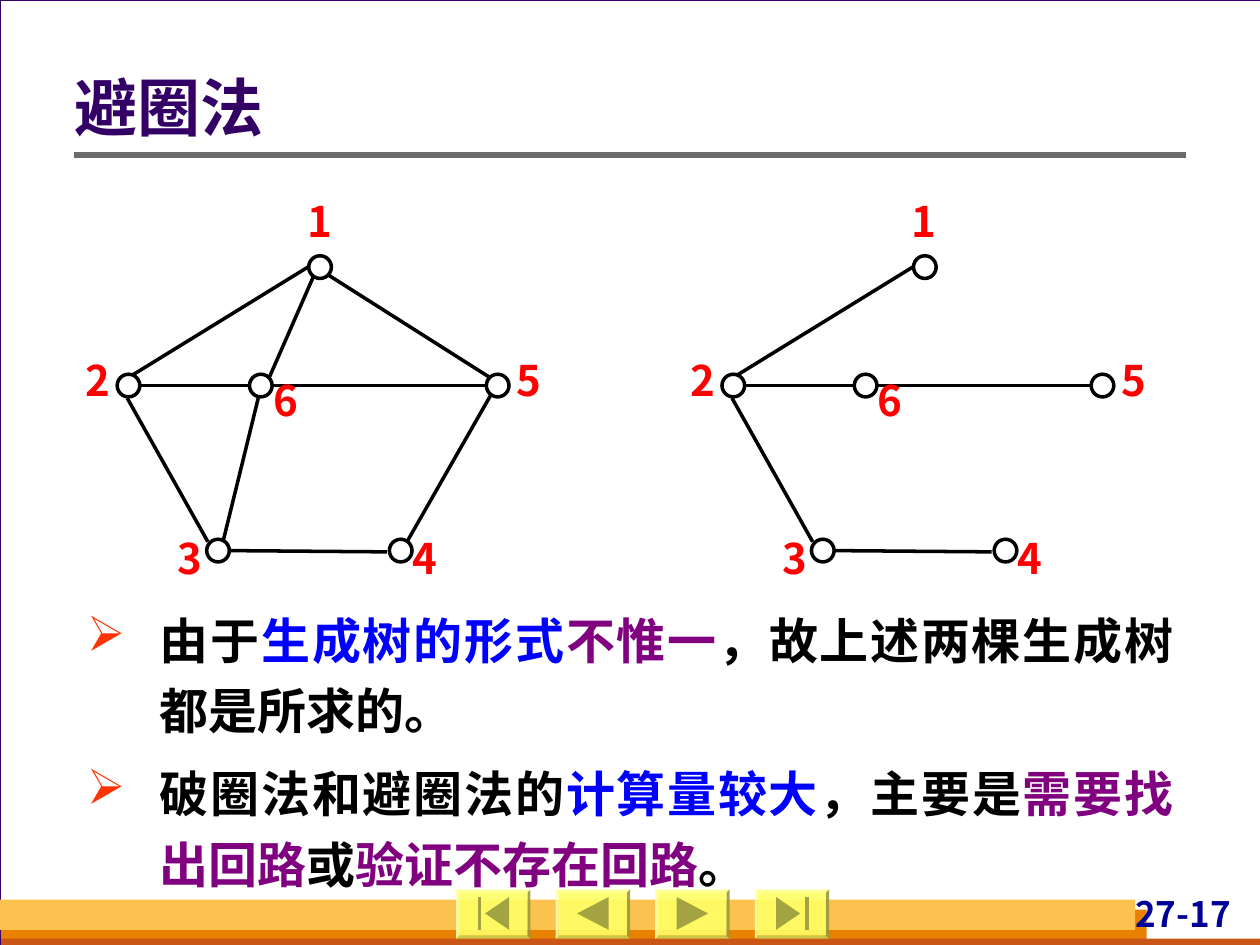
"""Build the slide on the loop-avoiding method for spanning trees."""
from typing import NamedTuple

from lxml.etree import SubElement
from pptx import Presentation
from pptx.dml.color import RGBColor
from pptx.enum.shapes import MSO_CONNECTOR, MSO_SHAPE as Preset
from pptx.enum.text import MSO_ANCHOR as Anchor, PP_ALIGN as Align
from pptx.oxml.ns import qn
from pptx.util import Inches, Pt

FONT = "Noto Sans CJK SC"
COLORS = {
    "backdrop": "D8DADA", "white": "FFFFFF", "black": "000000",
    "title": "330066", "rule": "6B6B6B", "number": "000099",
    "orange": "E88000", "rust": "C95616", "gold": "FCC24F",
    "button": "FFFF66", "icon": "A3A341", "label": "FF0000",
    "bullet": "FF3300", "blue": "0000FF", "purple": "800080",
}


class Box(NamedTuple):
    left: float
    top: float
    width: float
    height: float


class Node(NamedTuple):
    name: str
    left: float
    top: float
    label_left: float
    label_top: float


class Edge(NamedTuple):
    start: tuple[float, float]
    end: tuple[float, float]
    in_tree: bool


NODE_SIZE = 0.18
GRAPH_SHIFT = 4.8
NODES = [
    Node("1", 2.45, 2.03, 2.36, 1.55),
    Node("2", 0.93, 2.97, 0.6, 2.81),
    Node("3", 1.64, 4.28, 1.33, 4.23),
    Node("4", 3.09, 4.28, 3.2, 4.23),
    Node("5", 3.86, 2.97, 4.02, 2.81),
    Node("6", 1.98, 2.97, 2.09, 2.97),
]
EDGES = [
    Edge((2.49, 2.19), (2.14, 2.99), False),
    Edge((2.16, 3.06), (3.86, 3.06), True),
    Edge((2.05, 3.16), (1.77, 4.3), False),
    Edge((1.1, 3.06), (1.99, 3.06), True),
    Edge((2.46, 2.11), (1.03, 2.99), True),
    Edge((3.91, 3.11), (3.23, 4.3), False),
    Edge((1.8, 4.37), (3.07, 4.38), True),
    Edge((2.57, 2.16), (3.91, 3.01), False),
    Edge((1.01, 3.16), (1.65, 4.3), True),
]

BUTTON = Box(3.62, 7.06, 0.59, 0.39)
BUTTON_STEP = 0.79
ICON_TOP, ICON_MIDDLE, ICON_BOTTOM = 0.06, 0.19, 0.32


def triangle(tip: float, base: float) -> list[tuple[float, float]]:
    """Return a sideways triangle inside a button."""
    return [(tip, ICON_MIDDLE), (base, ICON_TOP), (base, ICON_BOTTOM)]


def bar(left: float) -> list[tuple[float, float]]:
    """Return an upright bar inside a button."""
    right = left + 0.03
    return [(left, ICON_TOP), (right, ICON_TOP), (right, ICON_BOTTOM), (left, ICON_BOTTOM)]


BUTTON_ICONS = [
    [bar(0.17), triangle(0.23, 0.42)],
    [triangle(0.17, 0.42)],
    [triangle(0.42, 0.17)],
    [triangle(0.36, 0.17), bar(0.4)],
]
PARAGRAPHS = [
    [("由于", "black"), ("生成树的形式", "blue"), ("不惟一", "purple"),
     ("，故上述两棵生成树都是所求的。", "black")],
    [("破圈法和避圈法的", "black"), ("计算量较大", "blue"), ("，主要是", "black"),
     ("需要找出回路", "purple"), ("或", "black"), ("验证不存在回路", "purple"),
     ("。", "black")],
]


def color(name: str) -> RGBColor:
    """Look up a colour by name."""
    return RGBColor.from_string(COLORS[name])


def paint(shape, fill: str, line: str = "", line_width: float = 1) -> None:
    """Give a shape a flat fill, an optional outline and no shadow."""
    shape.shadow.inherit = False
    shape.fill.solid()
    shape.fill.fore_color.rgb = color(fill)
    if line:
        shape.line.color.rgb = color(line)
        shape.line.width = Pt(line_width)
    else:
        shape.line.fill.background()


def add_preset(slide, preset, box: Box, fill: str, line: str = "", line_width: float = 1):
    """Add a painted preset shape."""
    shape = slide.shapes.add_shape(preset, *map(Inches, box))
    paint(shape, fill, line, line_width)
    return shape


def add_line(slide, start, end, line: str, width: float) -> None:
    """Add a straight line without shadow."""
    connector = slide.shapes.add_connector(
        MSO_CONNECTOR.STRAIGHT, *map(Inches, (*start, *end)))
    connector.line.color.rgb = color(line)
    connector.line.width = Pt(width)
    SubElement(connector._element.spPr, qn("a:effectLst"))


def add_run(paragraph, text: str, *, size: float, name: str) -> None:
    """Add bold text in the slide font."""
    run = paragraph.add_run()
    run.text = text
    run.font.size = Pt(size)
    run.font.bold = True
    run.font.color.rgb = color(name)
    run.font.name = FONT
    SubElement(run._r.get_or_add_rPr(), qn("a:ea"), typeface=FONT)


def set_frame(frame, margins, *, wrap: bool = True, anchor=Anchor.TOP) -> None:
    """Set the insets, wrapping and anchor of a text frame."""
    frame.word_wrap = wrap
    frame.vertical_anchor = anchor
    (frame.margin_left, frame.margin_top,
     frame.margin_right, frame.margin_bottom) = map(Inches, margins)


def add_label(slide, text: str, box: Box, *, size: float, name: str) -> None:
    """Add a short centred text."""
    frame = slide.shapes.add_textbox(*map(Inches, box)).text_frame
    set_frame(frame, (0, 0, 0, 0), wrap=False)
    frame.paragraphs[0].alignment = Align.CENTER
    add_run(frame.paragraphs[0], text, size=size, name=name)


def add_button(slide, left: float, icon) -> None:
    """Add a bevelled navigation button with its icon."""
    button = add_preset(slide, Preset.BEVEL, BUTTON._replace(left=left), "button")
    button.adjustments[0] = 0.06
    SubElement(button.fill._xPr.find(".//" + qn("a:srgbClr")), qn("a:alpha"), val="90000")
    for outline in icon:
        points = [(Inches(left + x), Inches(BUTTON.top + y)) for x, y in outline]
        builder = slide.shapes.build_freeform(*points[0])
        builder.add_line_segments(points[1:])
        paint(builder.convert_to_shape(), "icon")


def add_graph(slide, shift: float, edges: list[Edge]) -> None:
    """Add edges, nodes and node labels moved right by a shift."""
    for edge in edges:
        (x1, y1), (x2, y2) = edge.start, edge.end
        add_line(slide, (x1 + shift, y1), (x2 + shift, y2), "black", 2)
    for node in NODES:
        add_preset(slide, Preset.OVAL, Box(node.left + shift, node.top, NODE_SIZE, NODE_SIZE),
                   "white", "black", 2)
        add_label(slide, node.name, Box(node.label_left + shift, node.label_top, 0.35, 0.4),
                  size=24, name="label")


def add_title(slide, text: str) -> None:
    """Place the title placeholder above the frame and format it."""
    title = slide.shapes.title
    slide.shapes._spTree.append(title._element)
    title.left, title.top, title.width, title.height = map(Inches, (0.59, 0.38, 8.82, 1.01))
    set_frame(title.text_frame, (0, 0.05, 0.1, 0.05), anchor=Anchor.MIDDLE)
    paragraph = title.text_frame.paragraphs[0]
    paragraph.alignment = Align.LEFT
    paragraph.line_spacing = 0.9
    add_run(paragraph, text, size=36, name="title")


def add_body(slide) -> None:
    """Add the bulleted conclusions."""
    frame = slide.shapes.add_textbox(*map(Inches, (0.59, 4.7, 8.82, 2.44))).text_frame
    set_frame(frame, (0.1, 0.05, 0.1, 0.05))
    for index, runs in enumerate(PARAGRAPHS):
        paragraph = frame.add_paragraph() if index else frame.paragraphs[0]
        properties = paragraph._p.get_or_add_pPr()
        properties.set("marL", str(Inches(0.58)))
        properties.set("indent", str(-Inches(0.58)))
        bullet_color = SubElement(properties, qn("a:buClr"))
        SubElement(bullet_color, qn("a:srgbClr"), val=COLORS["bullet"])
        SubElement(properties, qn("a:buChar"), char="➢")
        paragraph.alignment = Align.JUSTIFY
        paragraph.line_spacing = 1.2
        paragraph.space_before = Pt(7 if index else 0)
        for text, name in runs:
            add_run(paragraph, text, size=28, name=name)


def main() -> None:
    """Build and save the presentation."""
    presentation = Presentation()
    presentation.slide_width, presentation.slide_height = Inches(10), Inches(7.5)
    slide = presentation.slides.add_slide(presentation.slide_layouts[5])
    slide.background.fill.solid()
    slide.background.fill.fore_color.rgb = color("backdrop")
    add_preset(slide, Preset.RECTANGLE, Box(0, 0, 10.01, 7.5), "white", "title", 0.75)
    add_preset(slide, Preset.RECTANGLE, Box(0.01, 7.22, 9.09, 0.28), "orange")
    add_preset(slide, Preset.RECTANGLE, Box(0.01, 7.45, 10, 0.08), "rust")
    add_preset(slide, Preset.RECTANGLE, Box(0, 7.14, 9.01, 0.24), "gold")
    add_label(slide, "27-17", Box(8.86, 7.08, 1.06, 0.38), size=20, name="number")
    add_line(slide, (0.59, 1.23), (9.41, 1.23), "rule", 3)
    for index, icon in enumerate(BUTTON_ICONS):
        add_button(slide, BUTTON.left + index * BUTTON_STEP, icon)
    add_title(slide, "避圈法")
    add_body(slide)
    add_graph(slide, 0, EDGES)
    add_graph(slide, GRAPH_SHIFT, [edge for edge in EDGES if edge.in_tree])
    presentation.save("out.pptx")


if __name__ == "__main__":
    main()
